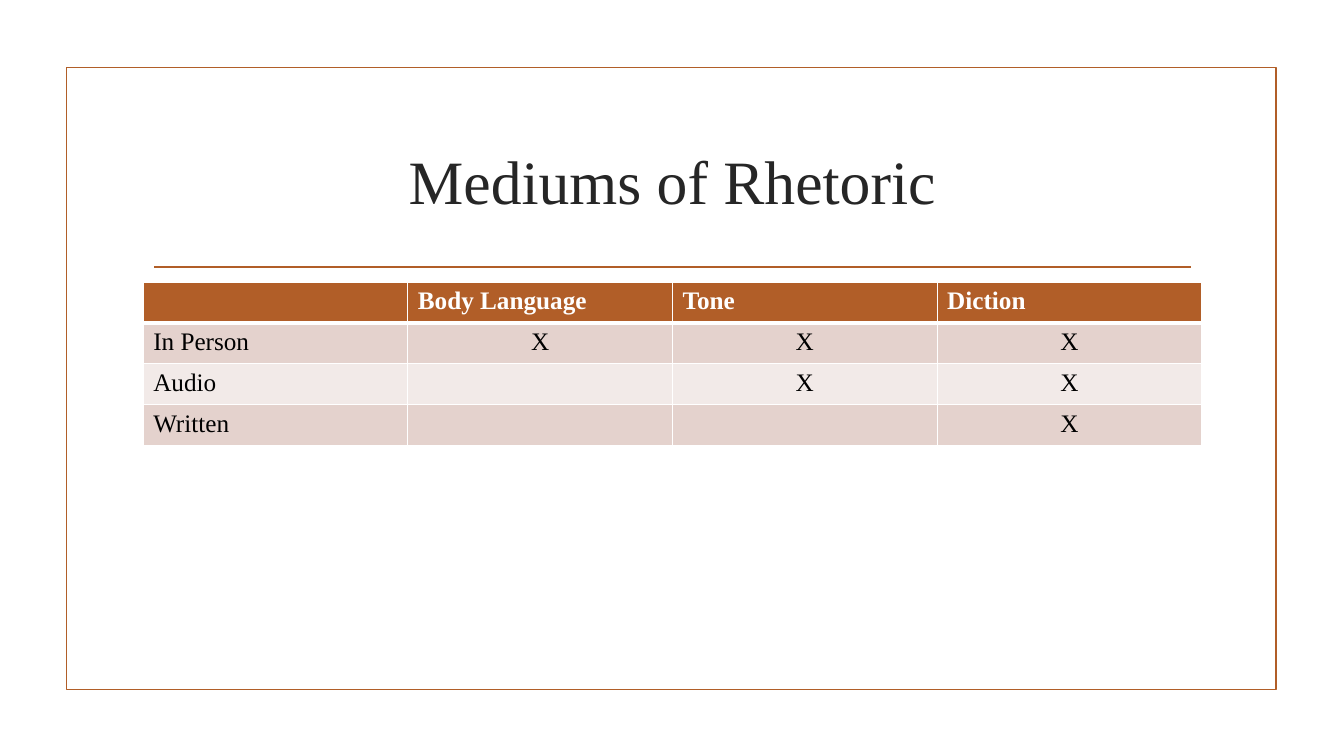
"""Builds the slide "Mediums of Rhetoric" with its comparison table."""
from lxml.etree import SubElement
from pptx import Presentation
from pptx.dml.color import RGBColor
from pptx.enum.shapes import MSO_CONNECTOR as CONNECTOR, MSO_SHAPE as SHAPE
from pptx.enum.text import MSO_ANCHOR as ANCHOR, PP_ALIGN as ALIGN
from pptx.oxml.ns import qn
from pptx.util import Inches, Pt

ACCENT = "B15E28"
WHITE = "FFFFFF"
BANDS = ["E4D2CD", "F2EAE8"]
ROWS = [
    ["", "Body Language", "Tone", "Diction"],
    ["In Person", "X", "X", "X"],
    ["Audio", "", "X", "X"],
    ["Written", "", "", "X"],
]


def paint(target, color):
    target.solid()
    target.fore_color.rgb = RGBColor.from_string(color)


def write(para, text, size, color, bold=False):
    span = para.add_run()
    span.text = text
    span.font.name = "Times New Roman"
    span.font.size = Pt(size)
    span.font.bold = bold
    paint(span.font.fill, color)


deck = Presentation()
deck.slide_width = Inches(13.33)
deck.slide_height = Inches(7.5)
page = deck.slides.add_slide(deck.slide_layouts[6])
paint(page.background.fill, WHITE)

frame = page.shapes.add_shape(SHAPE.RECTANGLE, Inches(0.66), Inches(0.67), Inches(12), Inches(6.17))
frame.shadow.inherit = False
frame.fill.background()

divider = page.shapes.add_connector(CONNECTOR.STRAIGHT, Inches(1.53), Inches(2.65), Inches(11.81), Inches(2.65))
SubElement(divider.element.spPr, qn("a:effectLst"))

for outlined in (frame, divider):
    outlined.line.width = Pt(1.25)
    paint(outlined.line.fill, ACCENT)
divider.element.spPr.append(divider.element.spPr.find(qn("a:effectLst")))

title = page.shapes.add_textbox(Inches(1.42), Inches(1.07), Inches(10.5), Inches(1.43))
title.text_frame.word_wrap = True
title.text_frame.vertical_anchor = ANCHOR.MIDDLE
heading = title.text_frame.paragraphs[0]
heading.alignment = ALIGN.CENTER
write(heading, "Mediums of Rhetoric", 44, "262626")

table = page.shapes.add_table(4, 4, Inches(1.42), Inches(2.8), Inches(10.5), Inches(1.62)).table
for row, texts in enumerate(ROWS):
    for column, text in enumerate(texts):
        cell = table.cell(row, column)
        properties = cell._tc.get_or_add_tcPr()
        for side in ("lnL", "lnR", "lnT", "lnB"):
            thick = (row, side) in ((0, "lnB"), (1, "lnT"))
            border = SubElement(properties, qn(f"a:{side}"), w=str(Pt(3 if thick else 1)))
            SubElement(SubElement(border, qn("a:solidFill")), qn("a:srgbClr"), val=WHITE)
        header = row == 0
        paint(cell.fill, ACCENT if header else BANDS[(row - 1) % 2])
        para = cell.text_frame.paragraphs[0]
        para.font.size = Pt(18)
        if text == "X":
            para.alignment = ALIGN.CENTER
        if text:
            write(para, text, 18, WHITE if header else "000000", header)

deck.save("out.pptx")
